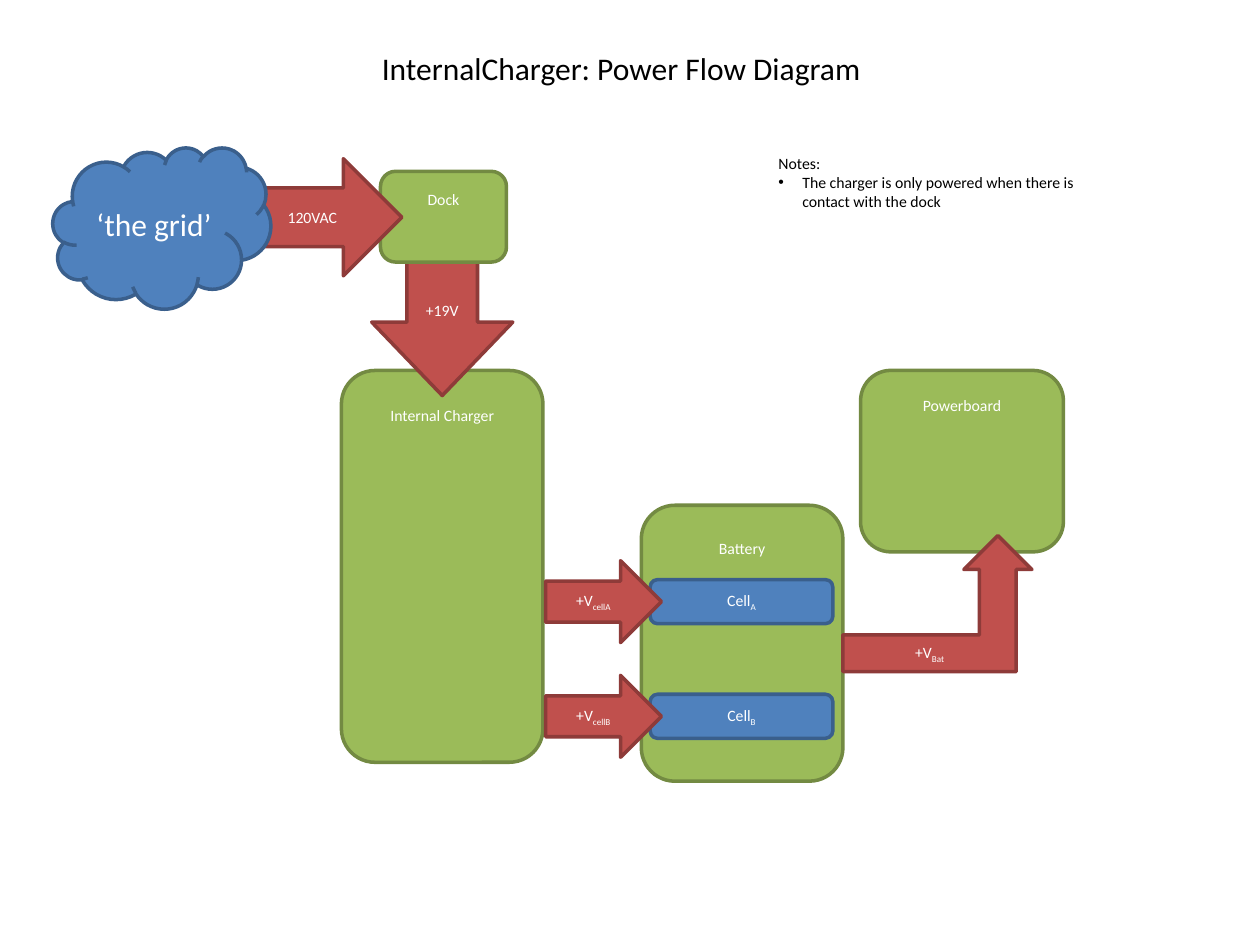
from dataclasses import dataclass

from lxml.etree import SubElement
from pptx import Presentation
from pptx.dml.color import RGBColor
from pptx.enum.shapes import MSO_SHAPE as Shape
from pptx.enum.text import MSO_ANCHOR as Anchor, MSO_AUTO_SIZE as AutoSize, PP_ALIGN as Align
from pptx.oxml.ns import qn
from pptx.util import Inches, Pt

COLUMNS, ROWS = 100, 75
TITLE_ONLY = 5


@dataclass(frozen=True)
class Theme:
    font: str = "Calibri"
    large: int = 18
    small: int = 9
    outline: int = 2
    dark: str = "000000"
    light: str = "FFFFFF"
    module: tuple = ("9BBB59", "738A42")
    source: tuple = ("4F81BD", "3A5F8C")
    power: tuple = ("C0504D", "8E3B39")


THEME = Theme()


def grid(deck, column, row, columns, rows):
    """Turn a grid position and span into left, top, width, height."""
    cell_width = deck.slide_width / COLUMNS
    cell_height = deck.slide_height / ROWS
    return (round(column * cell_width), round(row * cell_height),
            round(columns * cell_width), round(rows * cell_height))


def add_span(para, text, size, colour, subscript=False):
    span = para.add_run()
    span.text = text
    span.font.name = THEME.font
    span.font.size = Pt(size)
    span.font.color.rgb = RGBColor.from_string(colour)
    if subscript:
        span._r.get_or_add_rPr().set("baseline", "-25000")


def add_title(deck, page, text, place):
    title = page.shapes.title
    title.left, title.top, title.width, title.height = grid(deck, *place)
    frame = title.text_frame
    frame.word_wrap = False
    frame.auto_size = AutoSize.SHAPE_TO_FIT_TEXT
    frame.vertical_anchor = Anchor.MIDDLE
    para = frame.paragraphs[0]
    para.alignment = Align.LEFT
    add_span(para, text, THEME.large, THEME.dark)


def add_block(deck, page, kind, place, colours, label, subscript="",
              size=THEME.small, top_inset=None, adjustments=()):
    """Add a labelled shape; top_inset, in inches, puts its label at the top."""
    block = page.shapes.add_shape(kind, *grid(deck, *place))
    block.shadow.inherit = False
    fill, line = (RGBColor.from_string(colour) for colour in colours)
    block.fill.solid()
    block.fill.fore_color.rgb = fill
    block.line.color.rgb = line
    block.line.width = Pt(THEME.outline)
    for index, value in enumerate(adjustments):
        block.adjustments[index] = value

    frame = block.text_frame
    frame.word_wrap = True
    frame.vertical_anchor = Anchor.MIDDLE
    if top_inset is not None:
        frame.vertical_anchor = Anchor.TOP
        frame.margin_top = Inches(top_inset)
    para = frame.paragraphs[0]
    para.alignment = Align.CENTER
    add_span(para, label, size, THEME.light)
    if subscript:
        add_span(para, subscript, size, THEME.light, subscript=True)


def add_bullet(para, indent):
    properties = para._p.get_or_add_pPr()
    properties.set("marL", str(indent))
    properties.set("indent", str(-indent))
    SubElement(properties, qn("a:buFont"), typeface="Arial")
    SubElement(properties, qn("a:buChar"), char="•")


def add_notes(deck, page, place, heading, points):
    box = page.shapes.add_textbox(*grid(deck, *place))
    frame = box.text_frame
    frame.word_wrap = True
    frame.auto_size = AutoSize.SHAPE_TO_FIT_TEXT
    add_span(frame.paragraphs[0], heading, THEME.small, THEME.dark)
    for point in points:
        para = frame.add_paragraph()
        add_bullet(para, Inches(0.19))
        add_span(para, point, THEME.small, THEME.dark)


def add_modules(deck, page):
    modules = [
        ("Powerboard", (68.3, 29.4, 16.1, 14.4), 0.13),
        ("Internal Charger", (27.1, 29.4, 16, 31.1), 0.2),
        ("Battery", (50.9, 40.1, 16, 21.9), 0.19),
        ("Dock", (30.2, 13.6, 10, 7.2), 0.11),
    ]
    for label, place, top_inset in modules[:-1]:
        add_block(deck, page, Shape.ROUNDED_RECTANGLE, place, THEME.module,
                  label, top_inset=top_inset)
    add_block(deck, page, Shape.DOWN_ARROW, (29.5, 20.8, 11.2, 10.6),
              THEME.power, "+19V", adjustments=(0.5, 0.55))
    label, place, top_inset = modules[-1]
    add_block(deck, page, Shape.ROUNDED_RECTANGLE, place, THEME.module,
              label, top_inset=top_inset)


def add_cells(deck, page):
    first_row, pitch = 46, 9.1
    for index, name in enumerate("AB"):
        row = first_row + index * pitch
        add_block(deck, page, Shape.ROUNDED_RECTANGLE, (51.6, row, 14.5, 3.5),
                  THEME.source, "Cell", name)
        add_block(deck, page, Shape.RIGHT_ARROW, (43.3, row - 1.5, 9.2, 6.5),
                  THEME.power, "+V", "cell" + name)


def main():
    deck = Presentation()
    deck.slide_width, deck.slide_height = Inches(10), Inches(7.5)
    page = deck.slides.add_slide(deck.slide_layouts[TITLE_ONLY])

    add_title(deck, page, "InternalCharger: Power Flow Diagram", (29.3, 3.4, 40.4, 4))
    add_modules(deck, page)
    add_cells(deck, page)
    add_block(deck, page, Shape.RIGHT_ARROW, (20, 12.6, 11.9, 9.3),
              THEME.power, "120VAC")
    add_block(deck, page, Shape.CLOUD, (4.2, 11.7, 17.3, 12.8),
              THEME.source, "‘the grid’", size=THEME.large)
    add_notes(deck, page, (60.8, 11.7, 26.7, 5.6), "Notes:",
              ["The charger is only powered when there is contact with the dock"])
    add_block(deck, page, Shape.BENT_UP_ARROW, (66.9, 42.5, 15, 10.8),
              THEME.power, "+V", "Bat", adjustments=(0.27, 0.25, 0.25))
    deck.save("out.pptx")


if __name__ == "__main__":
    main()
